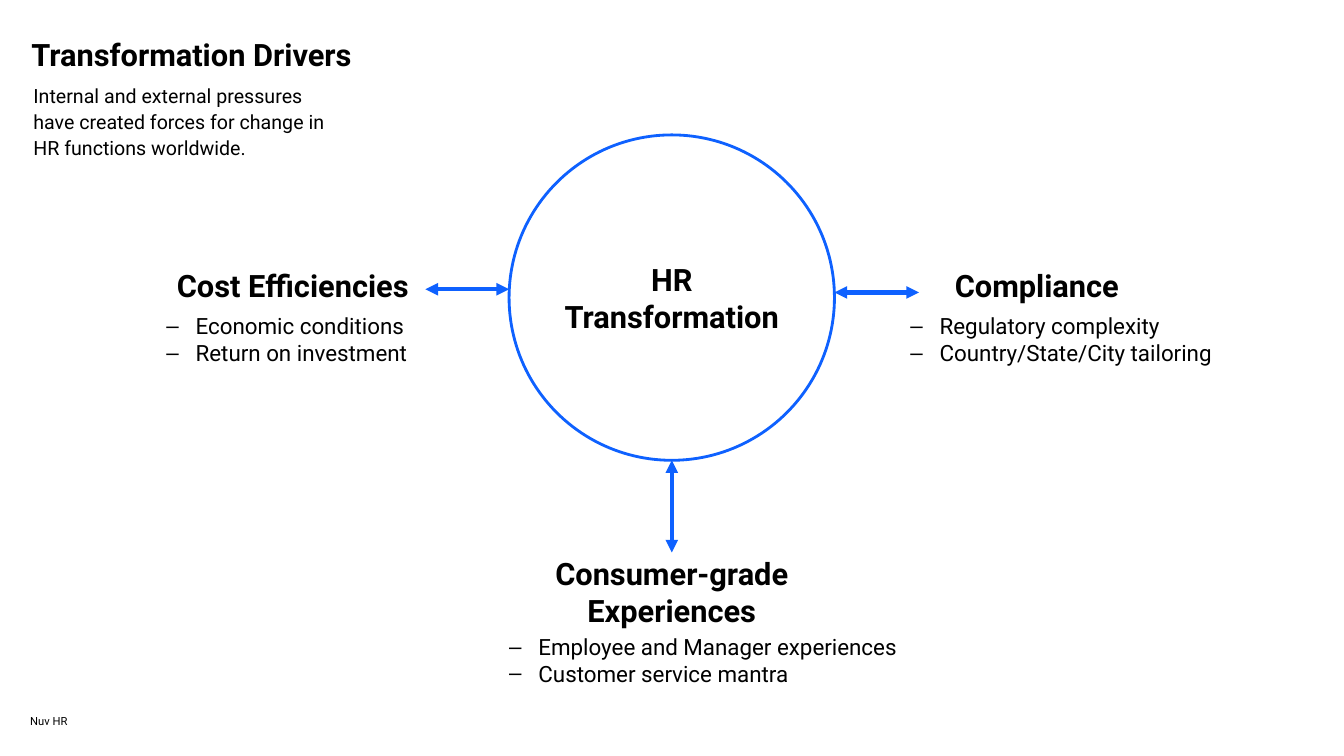
from lxml.etree import SubElement
from pptx import Presentation
from pptx.dml.color import RGBColor
from pptx.enum.shapes import MSO_CONNECTOR, MSO_SHAPE
from pptx.enum.text import MSO_ANCHOR, MSO_AUTO_SIZE, PP_ALIGN
from pptx.oxml.ns import qn
from pptx.util import Cm, Pt

BLACK, BLUE = "000000", "0E61FF"
FONT = "Roboto"

TITLE = "Transformation Drivers"
INTRO = ("Internal and external pressures have created forces for change "
         "in HR functions worldwide.")
HUB = "HR Transformation"
FOOTER = "Nuv HR"

# Boxes are (left, top, width, height) in centimetres.
TITLE_BOX = (0.79, 0.81, 12.04, 2.11)
INTRO_BOX = (0.84, 2.06, 7.67, 2.72)
FOOTER_BOX = (0.51, 17.88, 7.67, 0.69)
HUB_CENTER, HUB_TOP, HUB_SIZE = 16.93, 3.4, 8.2
HUB_LEFT, HUB_RIGHT = HUB_CENTER - HUB_SIZE / 2, HUB_CENTER + HUB_SIZE / 2
HUB_BOTTOM = HUB_TOP + HUB_SIZE
HEADING_SIZE = (6.38, 2.54)
LIST_HEIGHT, LIST_INDENT = 1.63, 0.74

DRIVERS = [
    {"heading": "Cost Efficiencies", "heading_at": (4.19, 6.71),
     "items": ["Economic conditions", "Return on investment"],
     "list_at": (4.19, 7.87), "list_width": 7.67,
     "arrow": (10.72, 7.29, HUB_LEFT, 7.29)},
    {"heading": "Compliance", "heading_at": (22.94, 6.71),
     "items": ["Regulatory complexity", "Country/State/City tailoring"],
     "list_at": (22.94, 7.87), "list_width": 7.67,
     "arrow": (HUB_RIGHT, 7.37, 23.16, 7.37)},
    {"heading": "Consumer-grade Experiences",
     "heading_at": (HUB_CENTER - HEADING_SIZE[0] / 2, 13.97),
     "items": ["Employee and Manager experiences", "Customer service mantra"],
     "list_at": (HUB_LEFT, 15.95), "list_width": 10.52,
     "arrow": (HUB_CENTER, HUB_BOTTOM, HUB_CENTER, 13.92)},
]


def color(hex_string):
    return RGBColor.from_string(hex_string)


def set_attributes(target, values):
    for name, value in values.items():
        setattr(target, name, value)


def place(shape, box):
    names = ("left", "top", "width", "height")
    set_attributes(shape, dict(zip(names, map(Cm, box))))


def add_bullet(paragraph):
    properties = paragraph._p.get_or_add_pPr()
    properties.set("marL", str(Cm(LIST_INDENT)))
    properties.set("indent", str(-Cm(LIST_INDENT)))
    SubElement(properties, qn("a:buChar"), char="–")


def remove_bullet(paragraph):
    properties = paragraph._p.get_or_add_pPr()
    properties.set("marL", "0")
    properties.set("indent", "0")
    SubElement(properties, qn("a:buNone"))


def write(shape, lines, size, bold=False, align=PP_ALIGN.LEFT, spacing=1.0,
          inset=0, anchor=MSO_ANCHOR.TOP, bullets=False):
    frame = shape.text_frame
    set_attributes(frame, {
        "word_wrap": True, "auto_size": MSO_AUTO_SIZE.NONE,
        "vertical_anchor": anchor,
        "margin_left": Cm(inset), "margin_right": Cm(inset),
        "margin_top": Cm(inset / 2), "margin_bottom": Cm(inset / 2)})
    frame.text = "\n".join(lines)
    for paragraph in frame.paragraphs:
        set_attributes(paragraph, {
            "alignment": align, "line_spacing": spacing,
            "space_before": Pt(0), "space_after": Pt(0)})
        if bullets:
            add_bullet(paragraph)
        else:
            remove_bullet(paragraph)
        font = paragraph.runs[0].font
        set_attributes(font, {"name": FONT, "size": Pt(size), "bold": bold})
        font.color.rgb = color(BLACK)


def add_text(slide, box, lines, size, **style):
    shape = slide.shapes.add_textbox(*map(Cm, box))
    write(shape, lines, size, **style)


def add_double_arrow(slide, ends):
    arrow = slide.shapes.add_connector(MSO_CONNECTOR.STRAIGHT, *map(Cm, ends))
    arrow.line.color.rgb = color(BLUE)
    arrow.line.width = Pt(3)
    line = arrow.line._get_or_add_ln()
    for end in ("a:headEnd", "a:tailEnd"):
        SubElement(line, qn(end), type="triangle")
    SubElement(arrow._element.spPr, qn("a:effectLst"))


def add_hub(slide):
    hub = slide.shapes.add_shape(
        MSO_SHAPE.OVAL, *map(Cm, (HUB_LEFT, HUB_TOP, HUB_SIZE, HUB_SIZE)))
    hub.shadow.inherit = False
    hub.fill.background()
    hub.line.color.rgb = color(BLUE)
    hub.line.width = Pt(2)
    write(hub, [HUB], 22, bold=True, align=PP_ALIGN.CENTER, inset=0.13,
          anchor=MSO_ANCHOR.MIDDLE)


def main():
    presentation = Presentation()
    presentation.slide_width, presentation.slide_height = Cm(33.87), Cm(19.05)
    layout = presentation.slide_layouts.get_by_name("Comparison")
    slide = presentation.slides.add_slide(layout)
    title, intro, *lists = slide.placeholders

    place(title, TITLE_BOX)
    write(title, [TITLE], 22, bold=True, spacing=1.1)
    place(intro, INTRO_BOX)
    write(intro, [INTRO], 14, spacing=1.1)

    add_hub(slide)
    for driver, list_shape in zip(DRIVERS, lists):
        add_double_arrow(slide, driver["arrow"])
        add_text(slide, driver["heading_at"] + HEADING_SIZE,
                 [driver["heading"]], 22, bold=True, align=PP_ALIGN.CENTER)
        place(list_shape,
              driver["list_at"] + (driver["list_width"], LIST_HEIGHT))
        write(list_shape, driver["items"], 16, bullets=True)
    add_text(slide, FOOTER_BOX, [FOOTER], 8, inset=0.25)

    presentation.save("out.pptx")


if __name__ == "__main__":
    main()
